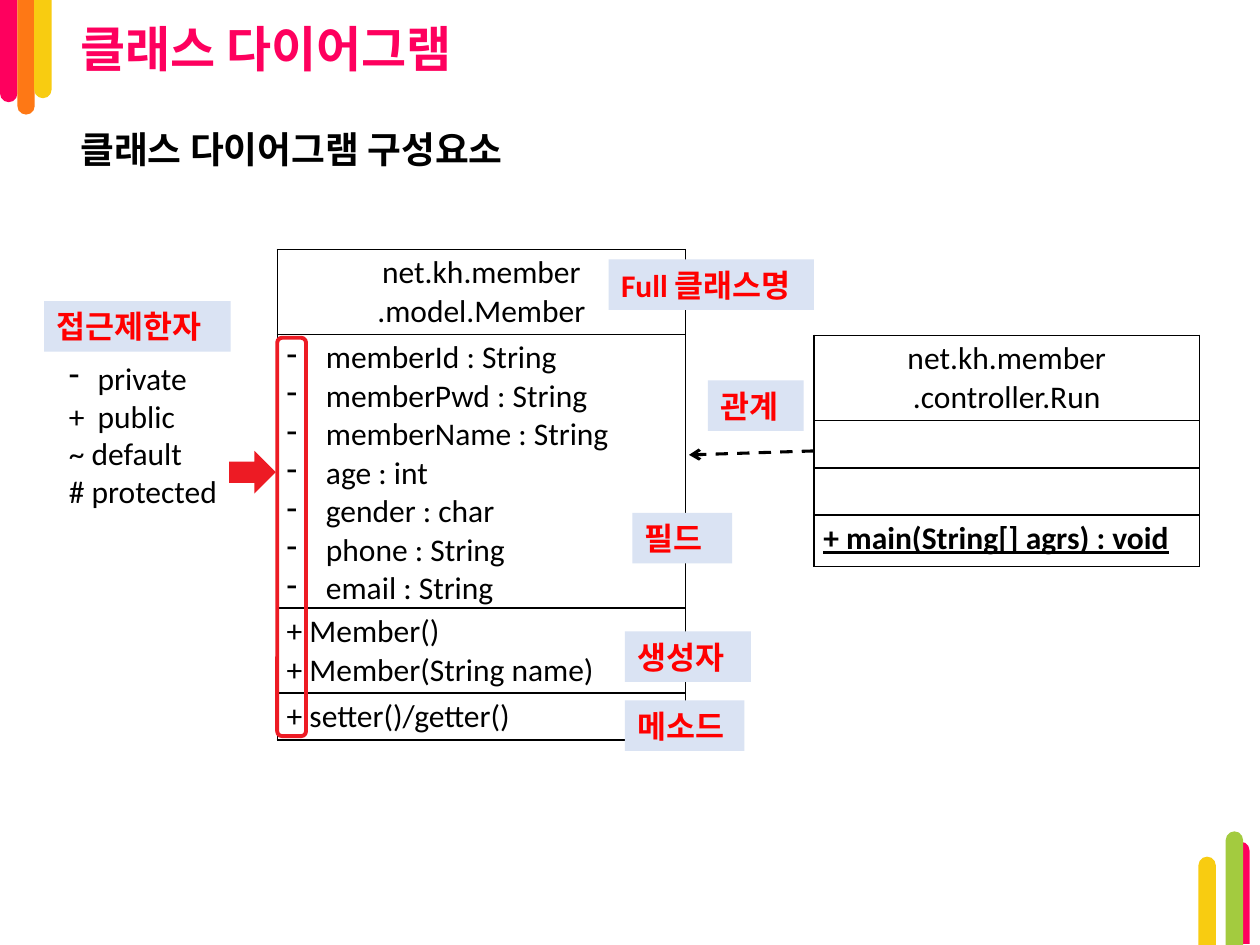
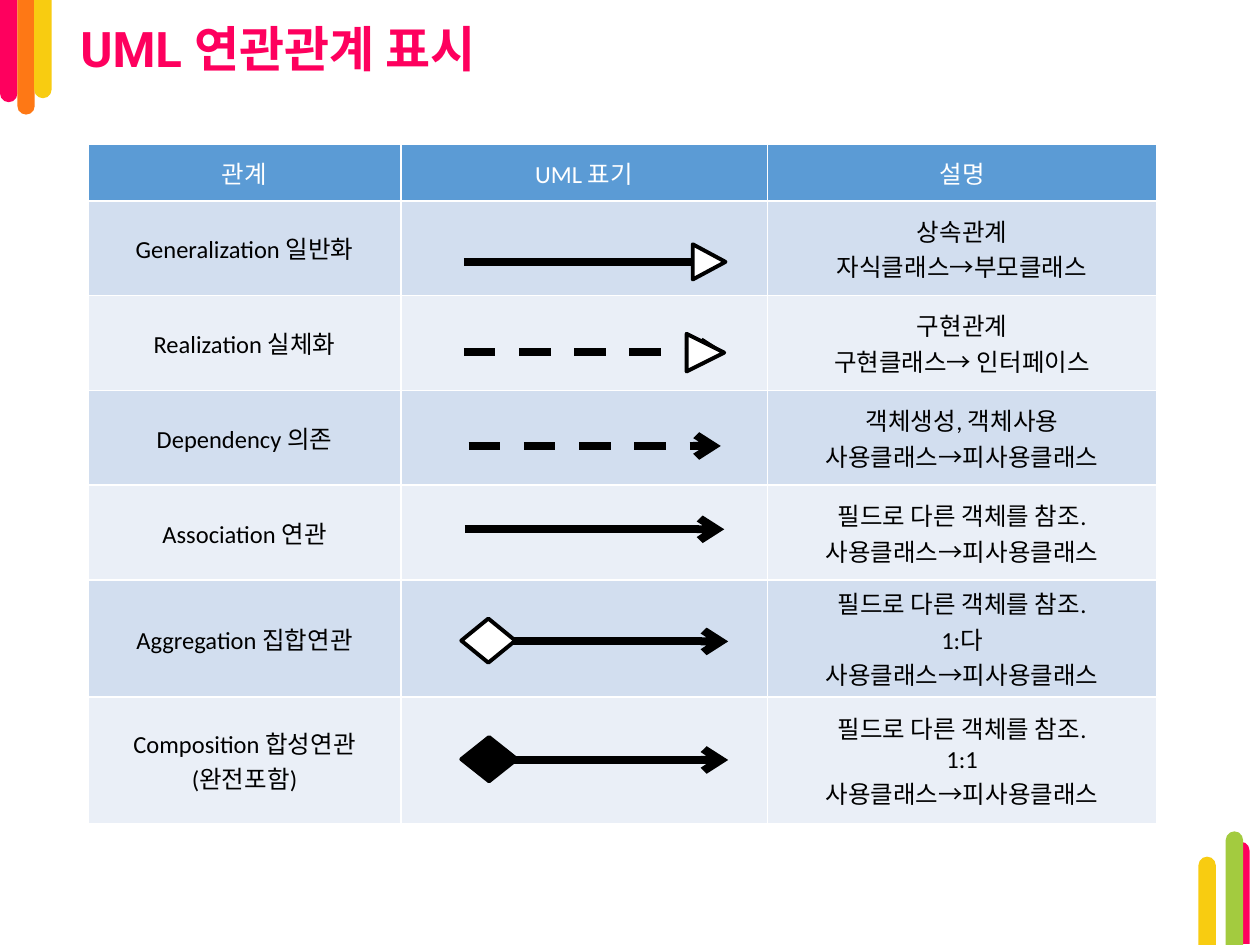
from dataclasses import dataclass
from typing import NamedTuple

from lxml import etree
from pptx import Presentation
from pptx.dml.color import RGBColor
from pptx.enum.dml import MSO_LINE
from pptx.enum.shapes import MSO_CONNECTOR, MSO_SHAPE
from pptx.enum.text import MSO_ANCHOR, PP_ALIGN
from pptx.oxml.ns import qn
from pptx.util import Cm, Pt

BLANK = 6
LEFT, CENTER = PP_ALIGN.LEFT, PP_ALIGN.CENTER
TOP, MIDDLE = MSO_ANCHOR.TOP, MSO_ANCHOR.MIDDLE
DASH, STRAIGHT = MSO_LINE.DASH, MSO_CONNECTOR.STRAIGHT
BAR, RECT, ROUND = MSO_SHAPE.ROUND_2_SAME_RECTANGLE, MSO_SHAPE.RECTANGLE, MSO_SHAPE.ROUNDED_RECTANGLE
ARROW, DIAMOND, TRIANGLE = MSO_SHAPE.RIGHT_ARROW, MSO_SHAPE.DIAMOND, MSO_SHAPE.ISOSCELES_TRIANGLE


@dataclass(frozen=True)
class Theme:
    pink: str = "FE005E"
    orange: str = "FE7815"
    yellow: str = "F8CC11"
    green: str = "A3CB3F"
    black: str = "000000"
    white: str = "FFFFFF"
    red: str = "ED1B24"
    label: str = "FF0000"
    tint: str = "DAE3F3"
    head: str = "5B9BD5"
    bands: tuple[str, str] = ("D2DEEF", "EAEFF7")
    body: str = "Calibri"
    display: str = "Roboto"
    title: float = 28
    sub: float = 21
    text: float = 18
    small: float = 14


THEME = Theme()


class Box(NamedTuple):
    x: float
    y: float
    w: float
    h: float

    def cm(self) -> list:
        return [Cm(v) for v in self]


class Style(NamedTuple):
    size: float = THEME.text
    color: str = THEME.black
    font: str = THEME.body
    bold: bool = False
    under: bool = False
    align: PP_ALIGN = LEFT
    space: float | None = None


class Item(NamedTuple):
    """A line of text with a hanging indent."""
    text: str
    hang: float
    bullet: str = ""


class Bar(NamedTuple):
    box: Box
    color: str
    turn: int


class Label(NamedTuple):
    text: str
    box: Box


class Row(NamedTuple):
    high: float
    cells: list[list]
    style: Style
    fill: str


class Mark(NamedTuple):
    """A UML relation: a line with an optional shape at one end."""
    start: float
    end: float
    y: float
    head: str = "arrow"
    dash: bool = False
    shape: MSO_SHAPE | None = None
    box: Box | None = None
    fill: str = THEME.white


BODY = Style()
NAME = Style(align=CENTER)
TITLE = Style(THEME.title, THEME.pink, THEME.display, True, space=0.9)
SUB = Style(THEME.sub, font=THEME.display, bold=True)
TAG = Style(color=THEME.label, bold=True)
MAIN = Style(bold=True, under=True)
CELL = Style(THEME.small, align=CENTER)
HEAD = CELL._replace(color=THEME.white)

BARS = [
    Bar(Box(0, 0, 0.35, 2.06), THEME.pink, 180),
    Bar(Box(0.35, 0, 0.35, 2.31), THEME.orange, 180),
    Bar(Box(0.69, 0, 0.35, 1.98), THEME.yellow, 180),
    Bar(Box(24.84, 16.97, 0.35, 2.06), THEME.pink, 0),
    Bar(Box(24.71, 16.76, 0.35, 2.29), THEME.green, 0),
    Bar(Box(24.16, 17.27, 0.35, 1.78), THEME.yellow, 0),
]

FIELDS = ["memberId : String", "memberPwd : String", "memberName : String",
          "age : int", "gender : char", "phone : String", "email : String"]
MEMBER = [
    Row(1.71, [["net.kh.member", ".model.Member"]], NAME, THEME.white),
    Row(5.52, [[Item(name, 0.79, "-") for name in FIELDS]], BODY, THEME.white),
    Row(1.71, [["+ Member()", "+ Member(String name)"]], BODY, THEME.white),
    Row(0.95, [["+ setter()/getter()"]], BODY, THEME.white),
]
RUN = [
    Row(1.72, [["net.kh.member", ".controller.Run"]], NAME, THEME.white),
    Row(0.95, [[]], BODY, THEME.white),
    Row(0.95, [[]], BODY, THEME.white),
    Row(1.04, [["+ main(String[] agrs) : void"]], MAIN, THEME.white),
]
ACCESS = [Item("private", 0.58, "-"), Item("+\tpublic", 0.58), "~ default", "# protected"]
LABELS = [
    Label("Full 클래스명", Box(12.27, 5.23, 4.14, 1.02)),
    Label("필드", Box(12.75, 10.34, 2.01, 1.02)),
    Label("생성자", Box(12.6, 12.73, 2.54, 1.02)),
    Label("메소드", Box(12.6, 14.12, 2.41, 1.02)),
    Label("관계", Box(14.27, 7.67, 1.93, 1.02)),
    Label("접근제한자", Box(0.89, 6.07, 3.76, 1.02)),
]

USE = "사용클래스→피사용클래스"
REFER = "필드로 다른 객체를 참조."
KINDS = [
    (1.91, ["Generalization 일반화"], ["상속관계", "자식클래스→부모클래스"]),
    (1.91, ["Realization 실체화"], ["구현관계", "구현클래스→ 인터페이스"]),
    (1.91, ["Dependency 의존"], ["객체생성, 객체사용", USE]),
    (1.91, ["Association 연관"], [REFER, USE]),
    (2.36, ["Aggregation 집합연관"], [REFER, "1:다", USE]),
    (2.55, ["Composition 합성연관", "(완전포함)"], [REFER, "1:1", USE]),
]
MARKS = [
    Mark(9.35, 14.45, 5.28, "triangle", False, TRIANGLE, Box(13.94, 4.95, 0.71, 0.66)),
    Mark(9.35, 14.6, 7.09, "arrow", True, TRIANGLE, Box(13.84, 6.73, 0.76, 0.76)),
    Mark(9.45, 14.53, 8.99, dash=True),
    Mark(9.37, 14.6, 10.67),
    Mark(9.83, 14.68, 12.93, shape=DIAMOND, box=Box(9.3, 12.47, 1.09, 0.89)),
    Mark(9.73, 14.68, 15.32, shape=DIAMOND, box=Box(9.3, 14.86, 1.12, 0.89), fill=THEME.black),
]


def rgb(color: str) -> RGBColor:
    return RGBColor.from_string(color)


def write(frame, lines: list, style: Style) -> None:
    for i, line in enumerate(lines or [""]):
        par = frame.paragraphs[0] if i == 0 else frame.add_paragraph()
        par.text = line.text if isinstance(line, Item) else line
        par.alignment = style.align
        if style.space:
            par.line_spacing = style.space
        font = par.font
        font.name, font.size, font.color.rgb = style.font, Pt(style.size), rgb(style.color)
        font.bold, font.underline = style.bold, style.under
        if isinstance(line, Item):
            indent(par, line)


def indent(par, item: Item) -> None:
    props = par._p.get_or_add_pPr()
    props.set("marL", str(Cm(item.hang)))
    props.set("indent", str(-Cm(item.hang)))
    if item.bullet:
        mark = etree.Element(qn("a:buChar"), char=item.bullet)
        props.find(qn("a:defRPr")).addprevious(mark)


def add_text(slide, box: Box, lines: list, style: Style, anchor: MSO_ANCHOR = TOP) -> None:
    frame = slide.shapes.add_textbox(*box.cm()).text_frame
    frame.word_wrap, frame.vertical_anchor = True, anchor
    write(frame, lines, style)


def add_form(slide, kind: MSO_SHAPE, box: Box, fill: str = "", line: str = "", turn: int = 0):
    form = slide.shapes.add_shape(kind, *box.cm())
    form.shadow.inherit = False
    form.rotation = turn
    if fill:
        form.fill.solid()
        form.fill.fore_color.rgb = rgb(fill)
    else:
        form.fill.background()
    if line:
        form.line.color.rgb, form.line.width = rgb(line), Pt(2.25)
    else:
        form.line.fill.background()
    return form


def add_line(slide, start: tuple, end: tuple, width: float, head: str, dash: bool) -> None:
    link = slide.shapes.add_connector(STRAIGHT, *(Cm(v) for v in start + end))
    link.line.color.rgb, link.line.width = rgb(THEME.black), Pt(width)
    if dash:
        link.line.dash_style = DASH
    etree.SubElement(link.line._get_or_add_ln(), qn("a:tailEnd"), type=head)
    etree.SubElement(link._element.spPr, qn("a:effectLst"))


def add_edges(cell, color: str) -> None:
    props = cell._tc.get_or_add_tcPr()
    for i, side in enumerate(("lnL", "lnR", "lnT", "lnB")):
        edge = etree.Element(qn(f"a:{side}"), w=str(Pt(1)))
        fill = etree.SubElement(edge, qn("a:solidFill"))
        etree.SubElement(fill, qn("a:srgbClr"), val=color)
        props.insert(i, edge)


def add_grid(slide, x: float, y: float, cols: list[float], rows: list[Row],
             edge: str, anchor: MSO_ANCHOR = TOP) -> None:
    box = Box(x, y, sum(cols), sum(row.high for row in rows))
    table = slide.shapes.add_table(len(rows), len(cols), *box.cm()).table
    table.first_row = table.horz_banding = False
    for col, wide in zip(table.columns, cols):
        col.width = Cm(wide)
    for r, row in enumerate(rows):
        table.rows[r].height = Cm(row.high)
        for c, lines in enumerate(row.cells):
            cell = table.cell(r, c)
            cell.margin_left = cell.margin_right = Cm(0.19)
            cell.margin_top = cell.margin_bottom = Cm(0.09)
            cell.vertical_anchor = anchor
            cell.fill.solid()
            cell.fill.fore_color.rgb = rgb(row.fill)
            add_edges(cell, edge)
            write(cell.text_frame, lines, row.style)


def add_page(deck, title: str):
    slide = deck.slides.add_slide(deck.slide_layouts[BLANK])
    for bar in BARS:
        form = add_form(slide, BAR, bar.box, bar.color, turn=bar.turn)
        form.adjustments[0] = 0.5
    add_text(slide, Box(1.37, 0.4, 17.15, 1.3), [title], TITLE, MIDDLE)
    return slide


def draw_parts(deck) -> None:
    slide = add_page(deck, "클래스 다이어그램")
    add_text(slide, Box(1.37, 2.44, 10.9, 1.14), ["클래스 다이어그램 구성요소"], SUB)
    add_grid(slide, 5.59, 5.03, [8.23], MEMBER, THEME.black)
    add_grid(slide, 16.41, 6.76, [7.77], RUN, THEME.black)
    add_line(slide, (16.41, 9.09), (13.89, 9.17), 1.75, "arrow", True)
    add_form(slide, ROUND, Box(5.59, 6.81, 0.58, 8.03), line=THEME.red)
    add_text(slide, Box(1.14, 7.11, 3.53, 3.33), ACCESS, BODY)
    add_form(slide, ARROW, Box(4.62, 9.09, 0.94, 0.86), THEME.red)
    for label in LABELS:
        frame = add_form(slide, RECT, label.box, THEME.tint).text_frame
        frame.word_wrap, frame.vertical_anchor = True, TOP
        write(frame, [label.text], TAG)


def draw_links(deck) -> None:
    slide = add_page(deck, "UML 연관관계 표시")
    rows = [Row(1.15, [["관계"], ["UML 표기"], ["설명"]], HEAD, THEME.head)]
    for i, (high, name, note) in enumerate(KINDS):
        rows.append(Row(high, [name, [], note], CELL, THEME.bands[i % 2]))
    add_grid(slide, 1.78, 2.9, [6.3, 7.39, 7.85], rows, THEME.white, MIDDLE)
    for mark in MARKS:
        add_line(slide, (mark.start, mark.y), (mark.end, mark.y), 4.5, mark.head, mark.dash)
        if mark.shape:
            turn = 90 if mark.shape == TRIANGLE else 0
            add_form(slide, mark.shape, mark.box, mark.fill, THEME.black, turn)


def main() -> None:
    deck = Presentation()
    deck.slide_width, deck.slide_height = Cm(25.4), Cm(19.05)
    draw_parts(deck)
    draw_links(deck)
    deck.save("out.pptx")


if __name__ == "__main__":
    main()
